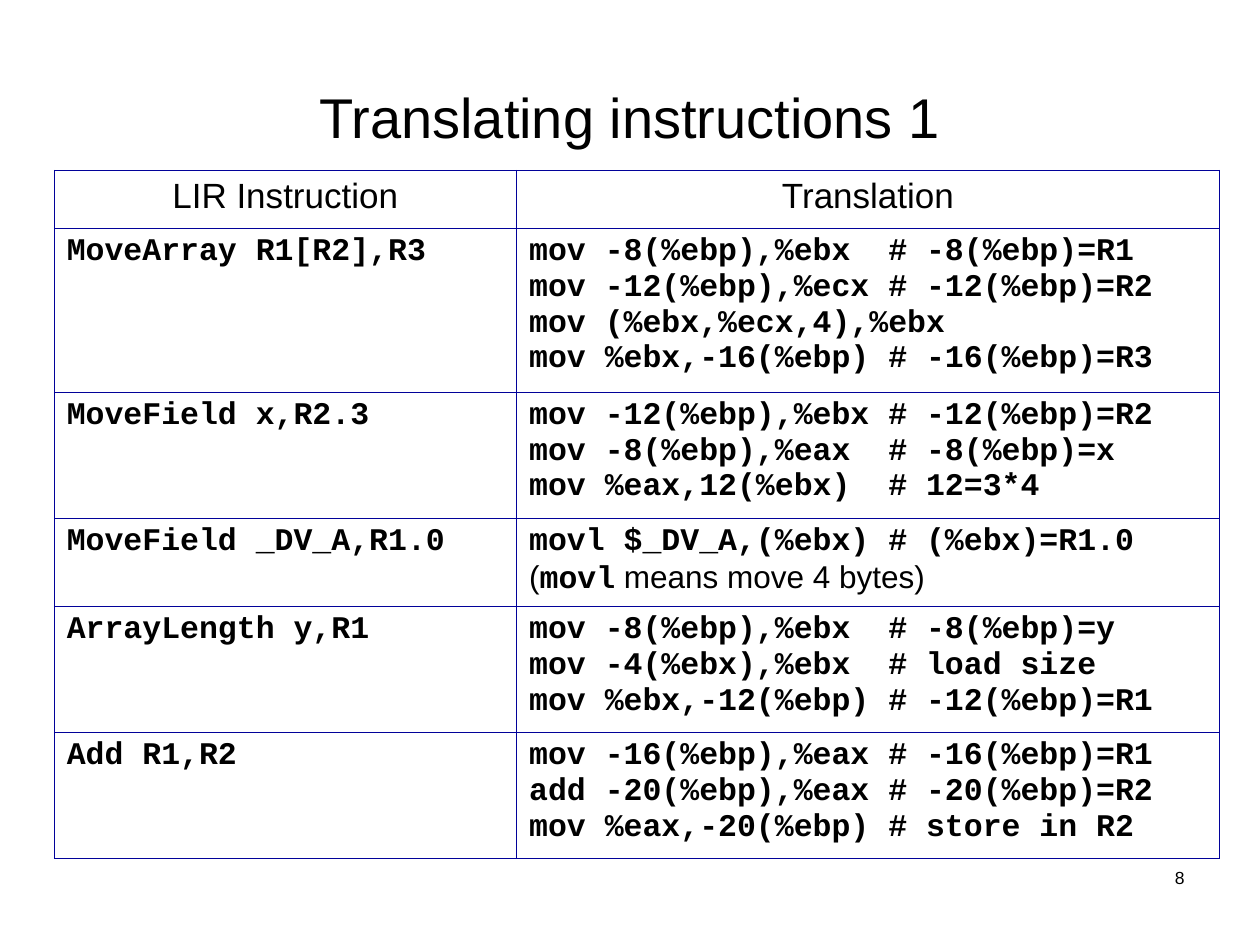
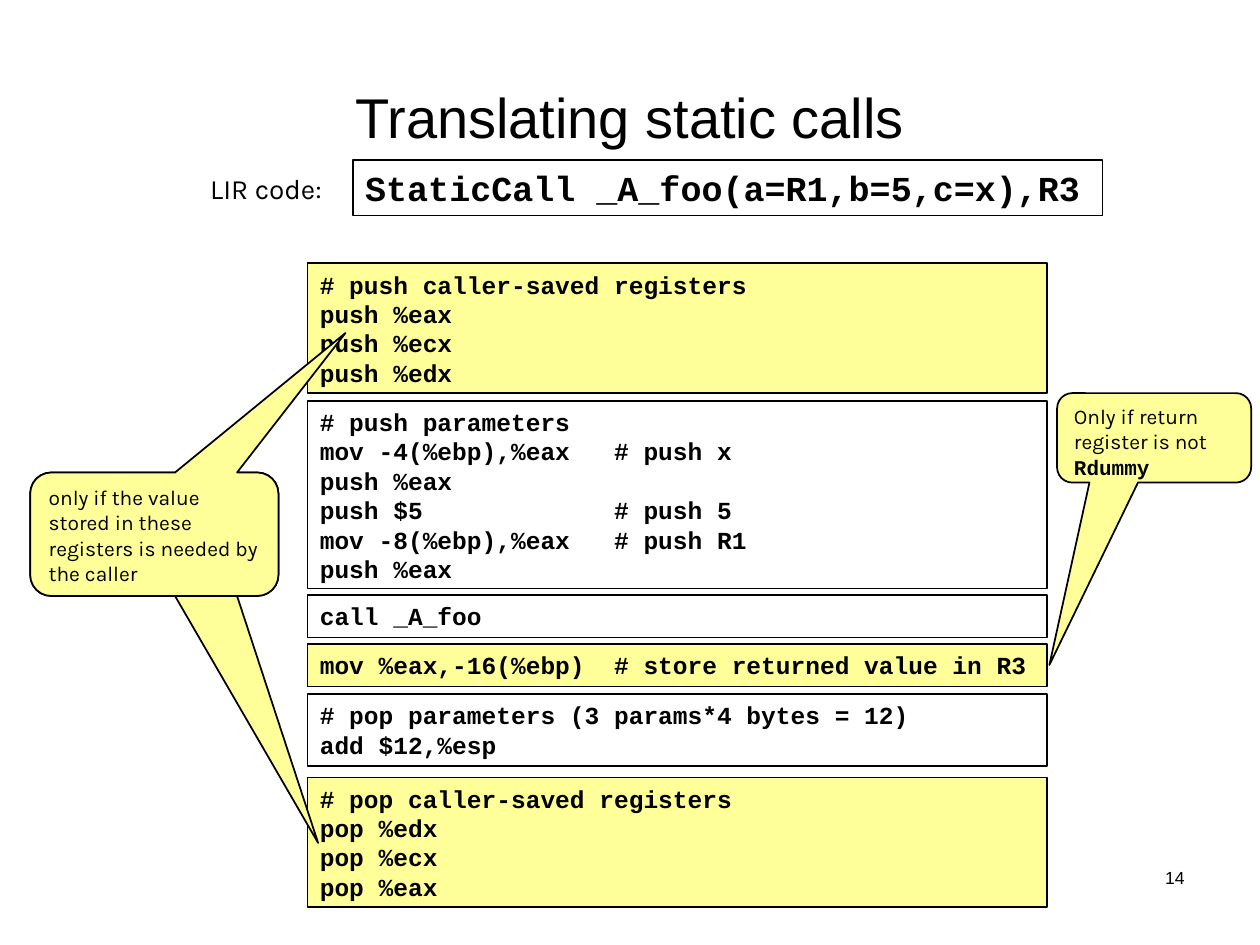
from copy import deepcopy
from lxml.etree import SubElement
from pptx import Presentation
from pptx.dml.color import RGBColor
from pptx.enum.shapes import MSO_SHAPE
from pptx.enum.text import MSO_ANCHOR, PP_ALIGN
from pptx.oxml.ns import qn
from pptx.util import Inches, Pt

COLORS = {"text": "000000", "line": "000000", "border": "010199", "conditional": "FFFF99"}
SANS, CODE, NOTE = "Arial", "Courier New", "Karla"

TABLE_TITLE = "Translating instructions 1"
TABLE_PLACE = (0.43, 1.35)
COLUMN_WIDTHS = (3.67, 5.58)
ROW_HEIGHTS = (0.46, 1.3, 1, 0.7, 1, 1)
HEADINGS = ("LIR Instruction", "Translation")
TRANSLATIONS = [
    ("MoveArray R1[R2],R3",
     "mov -8(%ebp),%ebx  # -8(%ebp)=R1\n"
     "mov -12(%ebp),%ecx # -12(%ebp)=R2\n"
     "mov (%ebx,%ecx,4),%ebx\n"
     "mov %ebx,-16(%ebp) # -16(%ebp)=R3"),
    ("MoveField x,R2.3",
     "mov -12(%ebp),%ebx # -12(%ebp)=R2\n"
     "mov -8(%ebp),%eax  # -8(%ebp)=x\n"
     "mov %eax,12(%ebx)  # 12=3*4"),
    ("MoveField _DV_A,R1.0",
     ["movl $_DV_A,(%ebx) # (%ebx)=R1.0\n",
      ("(", {"font": SANS, "bold": False}),
      "movl",
      (" means move 4 bytes)", {"font": SANS, "bold": False})]),
    ("ArrayLength y,R1",
     "mov -8(%ebp),%ebx  # -8(%ebp)=y\n"
     "mov -4(%ebx),%ebx  # load size\n"
     "mov %ebx,-12(%ebp) # -12(%ebp)=R1"),
    ("Add R1,R2",
     "mov -16(%ebp),%eax # -16(%ebp)=R1\n"
     "add -20(%ebp),%eax # -20(%ebp)=R2\n"
     "mov %eax,-20(%ebp) # store in R2"),
]

CALL_TITLE = "Translating static calls"
CALL_LABEL = "LIR code:"
CALL_CODE = "StaticCall _A_foo(a=R1,b=5,c=x),R3"
STEP_LEFT, STEP_WIDTH = 2.44, 5.87
CALL_STEPS = [
    (2.09, "conditional", "# push caller-saved registers\npush %eax\npush %ecx\npush %edx"),
    (3.18, None,
     "# push parameters\n"
     "mov -4(%ebp),%eax   # push x\n"
     "push %eax\n"
     "push $5             # push 5\n"
     "mov -8(%ebp),%eax   # push R1\n"
     "push %eax"),
    (4.72, None, "call _A_foo"),
    (5.11, "conditional", "mov %eax,-16(%ebp)  # store returned value in R3"),
    (5.51, None, "# pop parameters (3 params*4 bytes = 12)\nadd $12,%esp"),
    (6.17, "conditional", "# pop caller-saved registers\npop %edx\npop %ecx\npop %eax"),
]
CALLER_PLACE = (0.24, 3.75, 1.97, 0.98)
CALLER_NOTE = "only if the value stored in these registers is needed by the caller"
RETURN_NOTE = ["Only if return register is not",
               (" ", {"font": CODE, "size": 10, "bold": True}),
               ("Rdummy", {"font": CODE, "bold": True})]
CALLOUTS = [
    (CALLER_PLACE, (0.66, 2.5, 0.17), CALLER_NOTE),
    ((8.39, 3.12, 1.54, 0.71), (-0.54, 2.54, 0.17), RETURN_NOTE),
    (CALLER_PLACE, (0.77, -1.63, 0.17), CALLER_NOTE),
]


def color(name):
    return RGBColor.from_string(COLORS[name])


def write_text(frame, text, font=SANS, size=18, bold=False, align=PP_ALIGN.LEFT,
               anchor=MSO_ANCHOR.TOP, wrap=True):
    frame.word_wrap = wrap
    frame.vertical_anchor = anchor
    paragraph = frame.paragraphs[0]
    paragraph.alignment = align
    for part in [text] if isinstance(text, str) else text:
        words, changes = (part, {}) if isinstance(part, str) else part
        look = {"font": font, "size": size, "bold": bold, **changes}
        for number, line in enumerate(words.split("\n")):
            if number:
                paragraph.add_line_break()
                paragraph._p[-1].append(deepcopy(run._r.rPr))
            if not line:
                continue
            run = paragraph.add_run()
            run.text = line
            run.font.name = look["font"]
            run.font.size = Pt(look["size"])
            run.font.bold = look["bold"]
            run.font.color.rgb = color("text")


def add_text(slide, place, text, **look):
    box = slide.shapes.add_textbox(*map(Inches, place))
    write_text(box.text_frame, text, **look)


def add_box(slide, place, text, fill=None, kind=MSO_SHAPE.RECTANGLE, adjustments=(), **look):
    shape = slide.shapes.add_shape(kind, *map(Inches, place))
    shape.shadow.inherit = False
    for index, value in enumerate(adjustments):
        shape.adjustments[index] = value
    if fill:
        shape.fill.solid()
        shape.fill.fore_color.rgb = color(fill)
    else:
        shape.fill.background()
    shape.line.color.rgb = color("line")
    shape.line.width = Pt(1)
    write_text(shape.text_frame, text, **look)


def add_titled_slide(presentation, title, number):
    slide = presentation.slides.add_slide(presentation.slide_layouts[6])
    add_text(slide, (7.17, 6.83, 2.33, 0.5), number, size=10, align=PP_ALIGN.RIGHT)
    add_text(slide, (0.5, 0.3, 9, 1.25), title, size=32,
             align=PP_ALIGN.CENTER, anchor=MSO_ANCHOR.MIDDLE)
    return slide


def format_cell(cell):
    properties = cell._tc.get_or_add_tcPr()
    for side in ("a:lnL", "a:lnR", "a:lnT", "a:lnB"):
        border = SubElement(properties, qn(side), w=str(Pt(0.45)))
        fill = SubElement(border, qn("a:solidFill"))
        SubElement(fill, qn("a:srgbClr"), val=COLORS["border"])
    cell.fill.background()
    cell.margin_left = cell.margin_right = Inches(0.1)
    cell.margin_top = cell.margin_bottom = Inches(0.05)


def build_instruction_slide(presentation):
    slide = add_titled_slide(presentation, TABLE_TITLE, "8")
    size = (sum(COLUMN_WIDTHS), sum(ROW_HEIGHTS))
    table = slide.shapes.add_table(len(ROW_HEIGHTS), len(COLUMN_WIDTHS),
                                   *map(Inches, TABLE_PLACE + size)).table
    table.first_row = table.horz_banding = False
    for column, width in zip(table.columns, COLUMN_WIDTHS):
        column.width = Inches(width)
    for row, height in zip(table.rows, ROW_HEIGHTS):
        row.height = Inches(height)
    for row_index, texts in enumerate([HEADINGS] + TRANSLATIONS):
        look = {"font": CODE, "bold": True} if row_index else {"size": 20, "align": PP_ALIGN.CENTER}
        for column_index, text in enumerate(texts):
            cell = table.cell(row_index, column_index)
            format_cell(cell)
            write_text(cell.text_frame, text, **look)


def build_call_slide(presentation):
    slide = add_titled_slide(presentation, CALL_TITLE, "14")
    add_box(slide, (2.8, 1.27, 5.95, 0.44), CALL_CODE, font=CODE, size=20, bold=True)
    add_text(slide, (1.57, 1.31, 1.15, 0.37), CALL_LABEL, font=NOTE, size=16, wrap=False)
    for top, fill, code in CALL_STEPS:
        height = 0.11 + 0.23 * len(code.split("\n"))
        add_box(slide, (STEP_LEFT, top, STEP_WIDTH, height), code, fill,
                font=CODE, size=14, bold=True)
    for place, adjustments, note in CALLOUTS:
        add_box(slide, place, note, "conditional", MSO_SHAPE.ROUNDED_RECTANGULAR_CALLOUT,
                adjustments, font=NOTE, size=12)


def main():
    presentation = Presentation()
    presentation.slide_width = Inches(10)
    presentation.slide_height = Inches(7.5)
    build_instruction_slide(presentation)
    build_call_slide(presentation)
    presentation.save("out.pptx")


if __name__ == "__main__":
    main()
